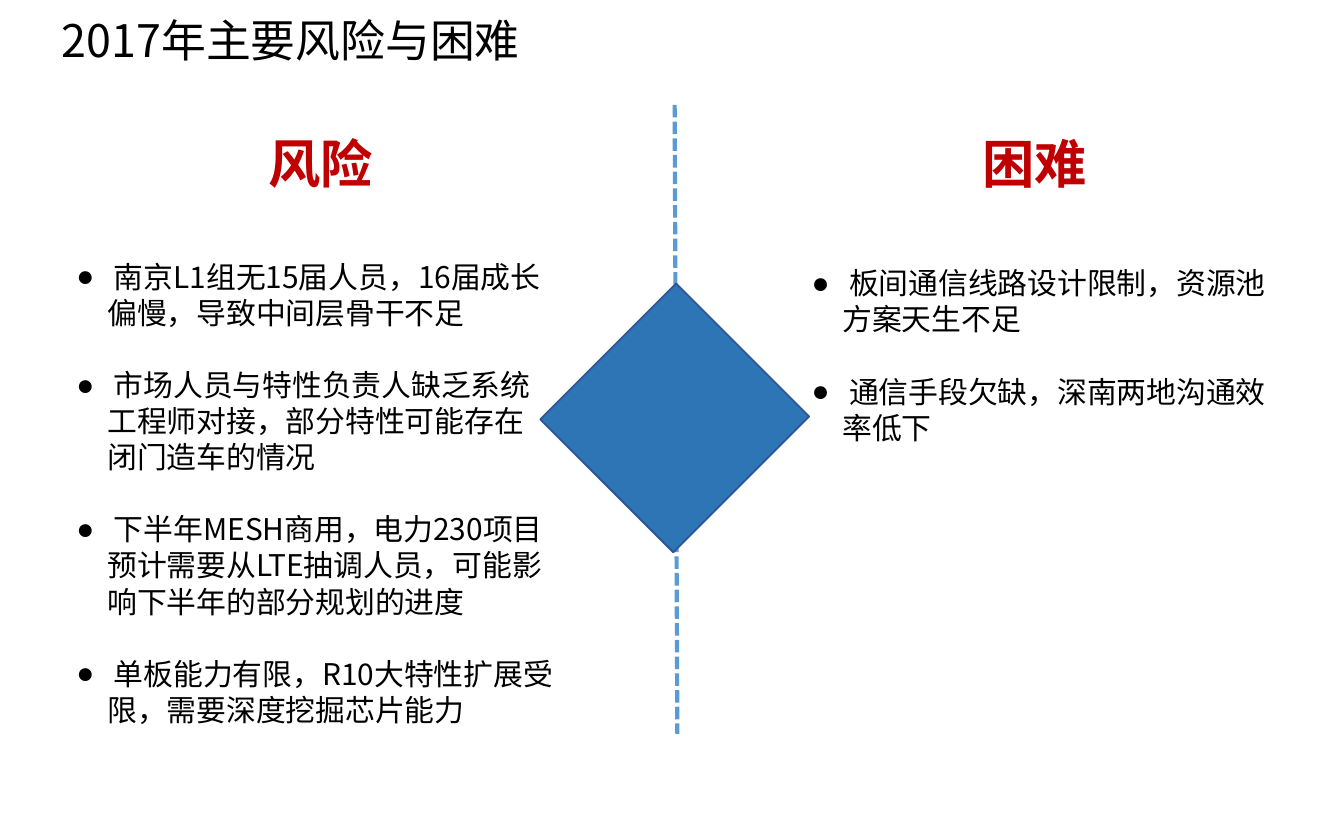
import pptx
import pptx.util
import pptx.dml.color
import pptx.enum.dml
import pptx.enum.shapes
import pptx.enum.text
import pptx.oxml.ns
from lxml import etree

Pt, Inches = pptx.util.Pt, pptx.util.Inches
ALIGN, ANCHOR = pptx.enum.text.PP_ALIGN, pptx.enum.text.MSO_ANCHOR
SLIDE_W, SLIDE_H = 10, 6.25
FONT = "Noto Sans CJK SC"
COLORS = {"text": "000000", "heading": "C00000", "divider": "5B9BD5",
          "diamond": "2E75B6", "edge": "2F5597"}
TITLE_FORMAT = {"size": Pt(24), "bold": False}
HEADING_FORMAT = {"size": Pt(28), "bold": True}
BODY_FORMAT = {"size": Pt(16), "bold": False}
LINE_PITCH = Pt(19.3)

# Boxes are left, top, width, height in percent of the slide.
TITLE_BOX = (3.6, 2.08, 86.2, 10.08)
DIVIDER_BOX = (50.2, 12.48, 0.2, 74.88)
COLUMNS = [
    {"box": (4.7, 15, 37.5, 75), "heading": "风险", "center": 0.51, "body_top": 0.2,
     "points": ["南京L1组无15届人员，16届成长偏慢，导致中间层骨干不足",
                "市场人员与特性负责人缺乏系统工程师对接，部分特性可能存在闭门造车的情况",
                "下半年MESH商用，电力230项目预计需要从LTE抽调人员，可能影响下半年的部分规划的进度",
                "单板能力有限，R10大特性扩展受限，需要深度挖掘芯片能力"]},
    {"box": (59.4, 15, 37.4, 75), "heading": "困难", "center": 0.47, "body_top": 0.21,
     "points": ["板间通信线路设计限制，资源池方案天生不足",
                "通信手段欠缺，深南两地沟通效率低下"]},
]


def rgb(name):
    return pptx.dml.color.RGBColor.from_string(COLORS[name])


def place(box):
    x, y, w, h = box
    return [Inches(v * side / 100) for v, side in
            ((x, SLIDE_W), (y, SLIDE_H), (w, SLIDE_W), (h, SLIDE_H))]


def set_all(obj, values):
    for name, value in values.items():
        setattr(obj, name, value)


def child(parent, tag, **attrs):
    return etree.SubElement(parent, pptx.oxml.ns.qn(tag), attrs)


def add_run(p, text, values, color):
    r = p.add_run()
    r.text = text
    set_all(r.font, {"name": FONT, **values})
    r.font.color.rgb = rgb(color)
    child(r.font._element, "a:ea", typeface=FONT)


def add_title(s, box, text):
    sp = s.shapes.title
    set_all(sp, dict(zip(("left", "top", "width", "height"), place(box))))
    tf = sp.text_frame
    set_all(tf, {"vertical_anchor": ANCHOR.TOP, "margin_top": Inches(0.01)})
    p = tf.paragraphs[0]
    set_all(p, {"alignment": ALIGN.LEFT, "line_spacing": 0.9})
    add_run(p, text, TITLE_FORMAT, "text")


def add_bullet(p):
    """Give the paragraph a round bullet with a hanging indent."""
    pPr = p._p.get_or_add_pPr()
    indent = Inches(0.23)
    pPr.set("marL", str(indent))
    pPr.set("indent", str(-indent))
    child(pPr, "a:buFont", typeface="Arial")
    child(pPr, "a:buChar", char="●")


def add_column(s, box, heading, center, body_top, points):
    x, y, w, h = box
    head_w, head_h = 9.4, 8.8
    tf = s.shapes.add_textbox(
        *place((x + center * w - head_w / 2, y, head_w, head_h))).text_frame
    set_all(tf, {"word_wrap": False, "vertical_anchor": ANCHOR.MIDDLE,
                 "margin_left": Inches(0.07), "margin_right": Inches(0.07),
                 "margin_top": Inches(0.04), "margin_bottom": Inches(0.04)})
    p = tf.paragraphs[0]
    p.alignment = ALIGN.CENTER
    add_run(p, heading, HEADING_FORMAT, "heading")

    tf = s.shapes.add_textbox(
        *place((x, y + body_top * h, w, (1 - body_top) * h))).text_frame
    tf.word_wrap = True
    for i, point in enumerate(points):
        p = tf.add_paragraph() if i else tf.paragraphs[0]
        p.line_spacing = LINE_PITCH
        if i:
            p.space_before = LINE_PITCH
        add_bullet(p)
        add_run(p, " " + point, BODY_FORMAT, "text")


def add_divider(s, box):
    """Draw the dashed divider with a diamond near its middle."""
    x, y, w, h = place(box)
    line = s.shapes.add_connector(
        pptx.enum.shapes.MSO_CONNECTOR.STRAIGHT, x, y, x + w, y + h)
    line.line.color.rgb = rgb("divider")
    set_all(line.line, {"width": Pt(2.25),
                        "dash_style": pptx.enum.dml.MSO_LINE.SQUARE_DOT})
    child(line._element.spPr, "a:effectLst")

    side_w, side_h = Inches(1.4), Inches(1.43)
    sp = s.shapes.add_shape(
        pptx.enum.shapes.MSO_SHAPE.RECTANGLE,
        x - side_w // 2, y + (h - side_h) // 2 - Inches(0.01), side_w, side_h)
    sp.rotation = 45
    sp.shadow.inherit = False
    sp.fill.solid()
    sp.fill.fore_color.rgb = rgb("diamond")
    sp.line.color.rgb = rgb("edge")
    sp.line.width = Pt(1)


def main():
    prs = pptx.Presentation()
    set_all(prs, {"slide_width": Inches(SLIDE_W), "slide_height": Inches(SLIDE_H)})
    s = prs.slides.add_slide(prs.slide_layouts[5])
    add_title(s, TITLE_BOX, "2017年主要风险与困难")
    add_divider(s, DIVIDER_BOX)
    for column in COLUMNS:
        add_column(s, **column)
    prs.save("out.pptx")


if __name__ == "__main__":
    main()
